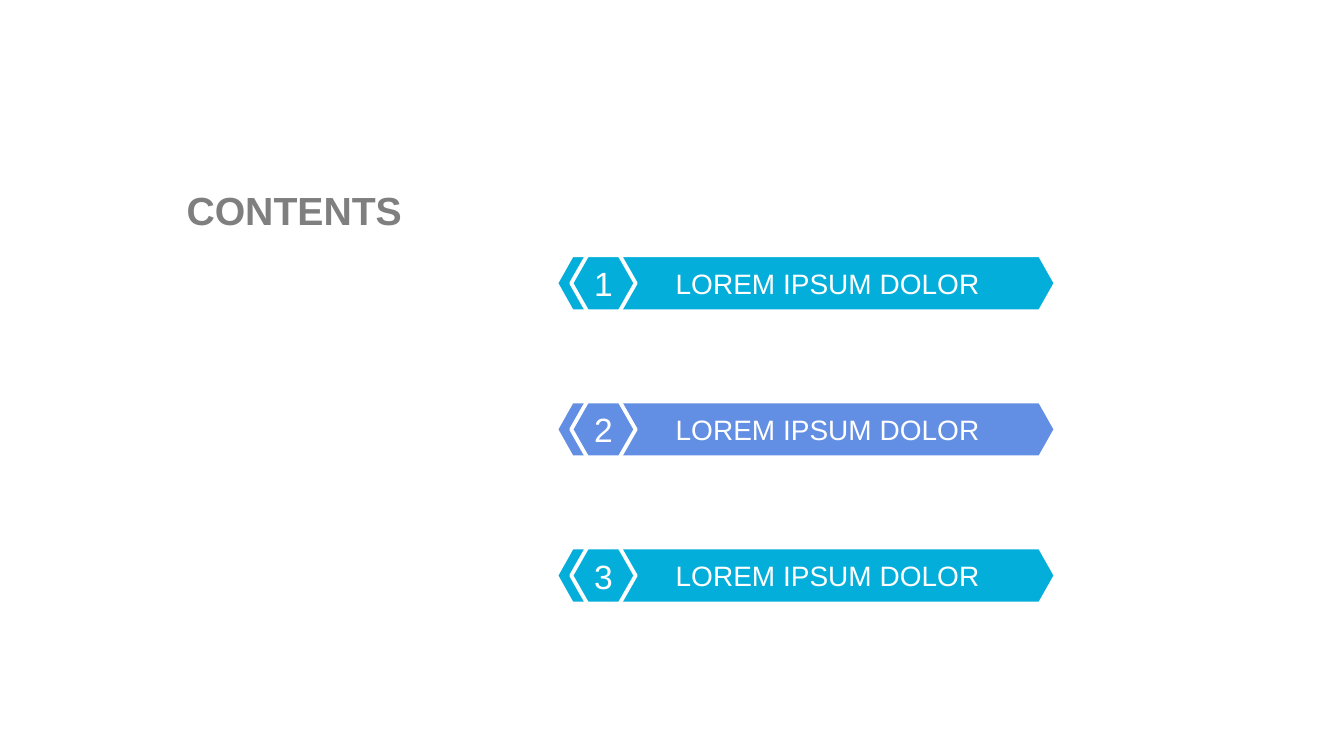
from dataclasses import dataclass

from pptx import Presentation
from pptx.dml.color import RGBColor
from pptx.enum.shapes import MSO_SHAPE
from pptx.enum.text import MSO_ANCHOR, MSO_AUTO_SIZE, PP_ALIGN
from pptx.util import Pt

HEXAGON = MSO_SHAPE.HEXAGON
TOP, MIDDLE = MSO_ANCHOR.TOP, MSO_ANCHOR.MIDDLE
CENTER = PP_ALIGN.CENTER
NO_FIT = MSO_AUTO_SIZE.NONE


@dataclass(frozen=True)
class Theme:
    font: str = "Arial"
    white: str = "FFFFFF"
    gray: str = "7F7F7F"
    cyan: str = "04AEDA"
    blue: str = "628EE3"
    title: int = 28
    label: int = 20
    number: int = 24
    edge: float = 2.75


class Deck:
    def __init__(self, theme, slide):
        self.theme = theme
        self.slide = slide

    def label(self, shape, text, size, color, insets, anchor=MIDDLE, bold=False):
        frame = shape.text_frame
        frame.text = text
        sides = ("margin_left", "margin_top", "margin_right", "margin_bottom")
        form = dict(zip(sides, map(Pt, insets)))
        form.update(word_wrap=True, auto_size=NO_FIT, vertical_anchor=anchor)
        for name, value in form.items():
            setattr(frame, name, value)
        para = frame.paragraphs[0]
        para.alignment = CENTER
        font = para.runs[0].font
        for name, value in {"name": self.theme.font, "size": Pt(size), "bold": bold}.items():
            setattr(font, name, value)
        font.color.rgb = RGBColor.from_string(color)

    def paint(self, shape, color):
        shape.shadow.inherit = False
        shape.fill.solid()
        shape.fill.fore_color.rgb = RGBColor.from_string(color)
        shape.line.color.rgb = RGBColor.from_string(self.theme.white)
        shape.line.width = Pt(self.theme.edge)

    def title(self, text, box):
        shape = self.slide.shapes.title
        for name, value in zip(("left", "top", "width", "height"), box):
            setattr(shape, name, Pt(value))
        self.label(shape, text, self.theme.title, self.theme.gray,
                   (7.2, 3.6, 7.2, 3.6), TOP, True)

    def bar(self, shapes, text, color, box):
        shape = shapes.add_shape(HEXAGON, *map(Pt, box))
        shape.adjustments[0] = 0.282
        shape.adjustments[1] = 1.155
        self.paint(shape, color)
        self.label(shape, text, self.theme.label, self.theme.white, (36.7, 0, 5.8, 0))

    def badge(self, shapes, text, color, box, slant):
        left, top, width, height = box
        right, mid, base = left + width, top + height / 2, top + height
        points = [(right - slant, top), (right, mid), (right - slant, base),
                  (left + slant, base), (left, mid)]
        outline = shapes.build_freeform(Pt(left + slant), Pt(top))
        outline.add_line_segments([(Pt(x), Pt(y)) for x, y in points], close=True)
        shape = outline.convert_to_shape()
        self.paint(shape, color)
        self.label(shape, text, self.theme.number, self.theme.white, (0, 0, 0, 0))

    def item(self, number, text, color, top):
        shapes = self.slide.shapes.add_group_shape().shapes
        self.bar(shapes, text, color, (397.5, top, 357, 40))
        self.badge(shapes, str(number), color, (408.25, top, 46, 40), 11.4)


def main():
    prs = Presentation()
    prs.slide_width, prs.slide_height = Pt(960.5), Pt(540)
    theme = Theme()
    deck = Deck(theme, prs.slides.add_slide(prs.slide_layouts[5]))

    # Heading
    deck.title("CONTENTS", (110.9, 129.6, 198.7, 41))

    # Numbered items, evenly spaced
    for i, color in enumerate((theme.cyan, theme.blue, theme.cyan)):
        deck.item(i + 1, "LOREM IPSUM DOLOR", color, 182.3 + 104.4 * i)

    prs.save("out.pptx")


if __name__ == "__main__":
    main()
